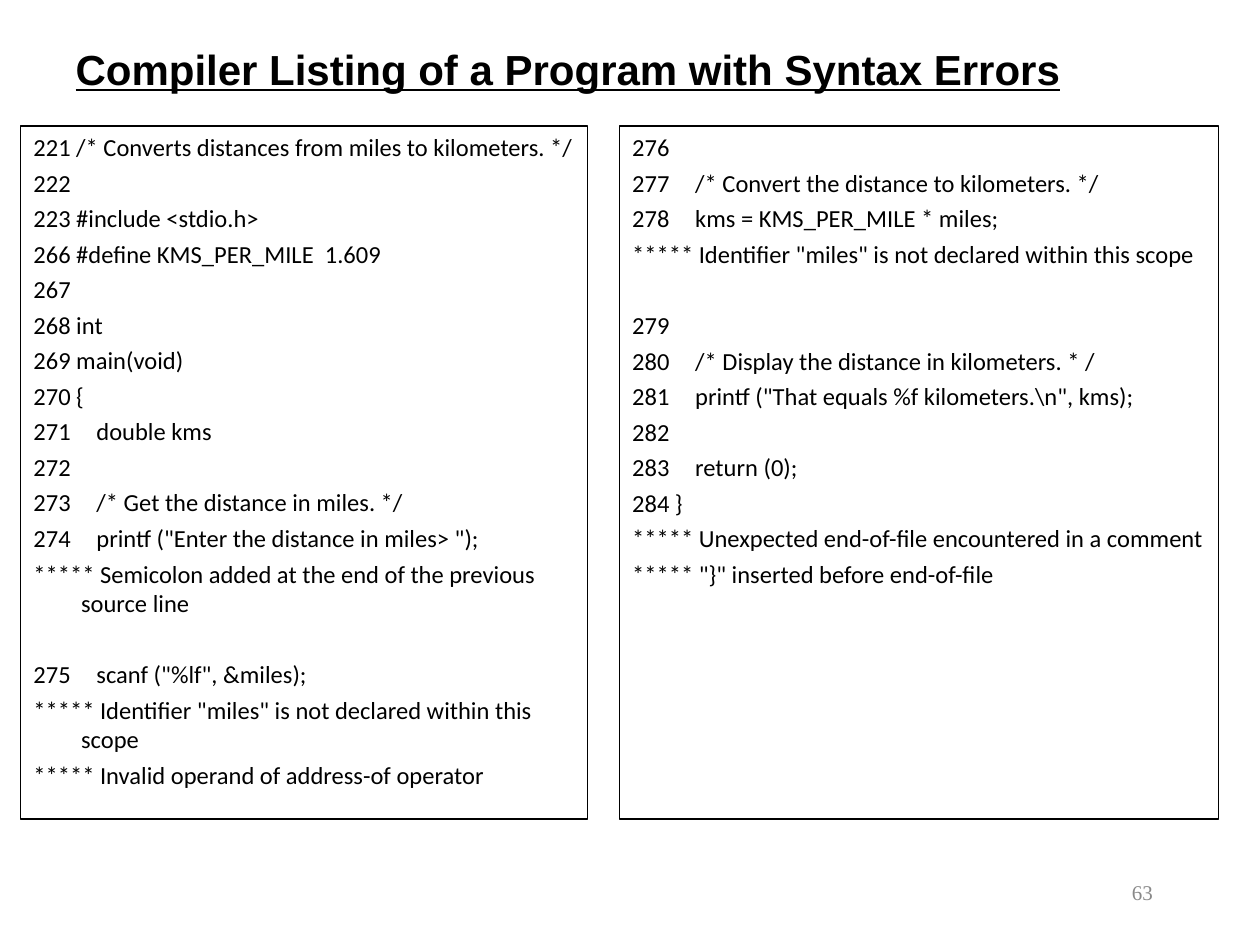
import pptx
import pptx.dml.color
import pptx.enum.text
import pptx.oxml.ns
import pptx.util
from lxml import etree
from pptx.util import Cm, Pt

BLACK = "000000"
GRAY = "898989"
HANGING = Cm(0.96)
CODE_TAB = Cm(1.53)
LINE_GAP = Pt(3.5)
SECTION_GAP = Pt(24)  # one empty line plus the usual gap

# Each entry is a line; a tab leads to the indented code column
LEFT_LISTING = [
    "221 /* Converts distances from miles to kilometers. */",
    "222",
    "223 #include <stdio.h>",
    "266 #define KMS_PER_MILE  1.609",
    "267",
    "268 int",
    "269 main(void)",
    "270 {",
    "271\tdouble kms",
    "272",
    "273\t/* Get the distance in miles. */",
    "274\tprintf (\"Enter the distance in miles> \");",
    "***** Semicolon added at the end of the previous source line",
    "275\tscanf (\"%lf\", &miles);",
    "***** Identifier \"miles\" is not declared within this scope",
    "***** Invalid operand of address-of operator",
]
RIGHT_LISTING = [
    "276",
    "277\t/* Convert the distance to kilometers. */",
    "278\tkms = KMS_PER_MILE * miles;",
    "***** Identifier \"miles\" is not declared within this scope",
    "279",
    "280\t/* Display the distance in kilometers. * /",
    "281\tprintf (\"That equals %f kilometers.\\n\", kms);",
    "282",
    "283\treturn (0);",
    "284 }",
    "***** Unexpected end-of-file encountered in a comment",
    "***** \"}\" inserted before end-of-file",
]
SECTION_STARTS = ("275", "279")


def color(value):
    return pptx.dml.color.RGBColor.from_string(value)


def place(shape, left, top, width, height):
    shape.left, shape.top = Cm(left), Cm(top)
    shape.width, shape.height = Cm(width), Cm(height)


def write_text(paragraph, text, font="Calibri", size=14, fill=BLACK,
               bold=False, underline=False, align="LEFT"):
    run = paragraph.add_run()
    run.text = text
    run.font.name = font
    run.font.size = Pt(size)
    run.font.bold = bold
    run.font.underline = underline
    run.font.color.rgb = color(fill)
    paragraph.alignment = getattr(pptx.enum.text.PP_ALIGN, align)


def format_listing_line(paragraph, text):
    """Set gap, indent and tab stop of one line, without a bullet."""
    paragraph.space_before = (
        SECTION_GAP if text.startswith(SECTION_STARTS) else LINE_GAP)
    indent = 0 if "\t" in text else HANGING
    properties = paragraph._p.get_or_add_pPr()
    properties.set("marL", str(indent))
    properties.set("indent", str(-indent))
    qualified = pptx.oxml.ns.qn
    etree.SubElement(properties, qualified("a:buNone"))
    if "\t" in text:
        tabs = etree.SubElement(properties, qualified("a:tabLst"))
        etree.SubElement(tabs, qualified("a:tab"), pos=str(CODE_TAB), algn="l")


def add_title(slide, text):
    title = slide.shapes.title
    place(title, 1.27, 0.43, 21.59, 1.9)
    frame = title.text_frame
    frame.auto_size = pptx.enum.text.MSO_AUTO_SIZE.NONE
    frame.vertical_anchor = pptx.enum.text.MSO_ANCHOR.MIDDLE
    write_text(frame.paragraphs[0], text, font="Arial", size=24,
               bold=True, underline=True)


def fill_listing(placeholder, lines, left, width):
    place(placeholder, left, 2.54, width, 13.97)
    placeholder.line.color.rgb = color(BLACK)
    placeholder.line.width = Pt(0.75)
    frame = placeholder.text_frame
    frame.auto_size = pptx.enum.text.MSO_AUTO_SIZE.NONE
    for index, line in enumerate(lines):
        paragraph = frame.add_paragraph() if index else frame.paragraphs[0]
        format_listing_line(paragraph, line)
        write_text(paragraph, line)


def add_page_number(slide, text):
    box = slide.shapes.add_textbox(Cm(18.2), Cm(17.36), Cm(5.29), Cm(1.27))
    frame = box.text_frame
    frame.word_wrap = True
    frame.vertical_anchor = pptx.enum.text.MSO_ANCHOR.MIDDLE
    write_text(frame.paragraphs[0], text, font="Times New Roman", size=12,
               fill=GRAY, align="RIGHT")


def main():
    presentation = pptx.Presentation()
    presentation.slide_width, presentation.slide_height = Cm(25.4), Cm(19.05)
    # Title with two content columns
    slide = presentation.slides.add_slide(presentation.slide_layouts[3])
    add_title(slide, "Compiler Listing of a Program with Syntax Errors")
    fill_listing(slide.placeholders[1], LEFT_LISTING, 0.42, 11.43)
    fill_listing(slide.placeholders[2], RIGHT_LISTING, 12.49, 12.07)
    add_page_number(slide, "63")
    presentation.save("out.pptx")


if __name__ == "__main__":
    main()
